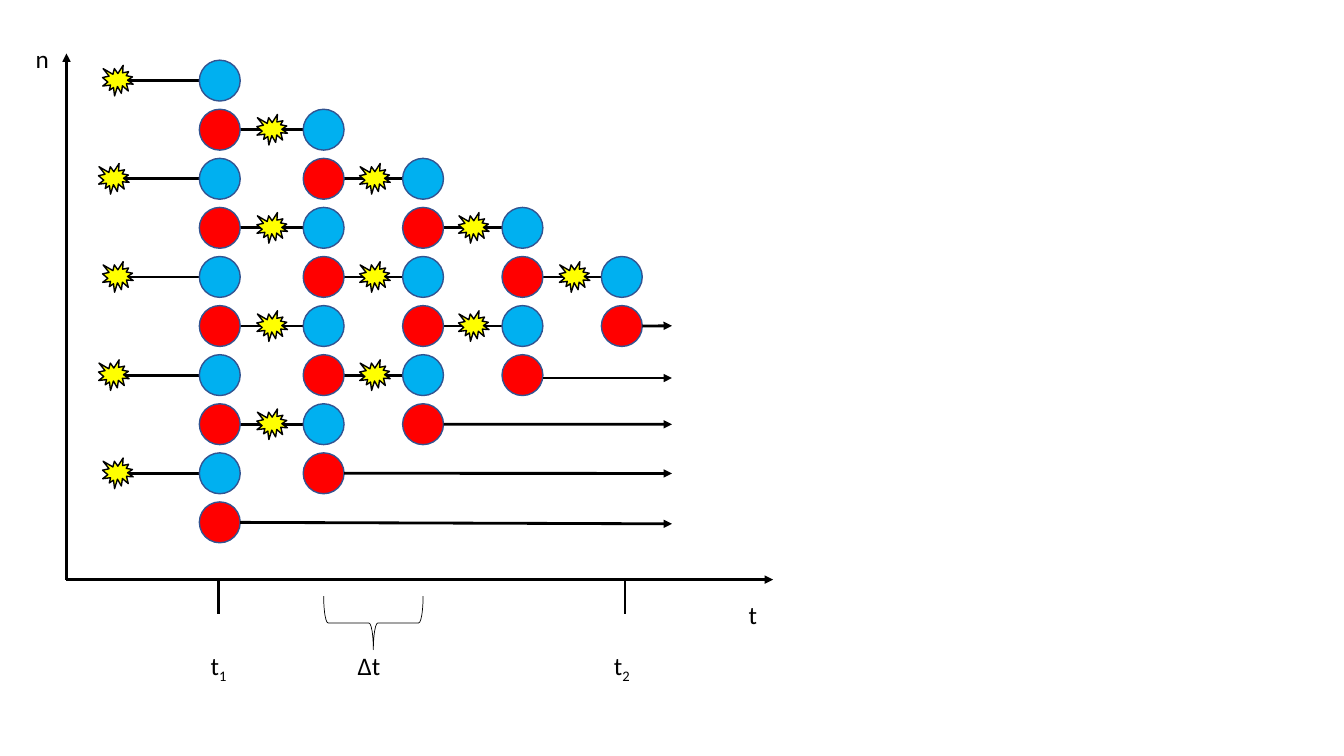
"""Build a slide showing a staircase of pulsed pairs in an n-t diagram."""
from pptx import Presentation
from pptx.dml.color import RGBColor
from pptx.enum import shapes, text
from pptx.oxml import parse_xml
from pptx.oxml.ns import nsdecls, qn
from pptx.util import Pt

COLUMNS = [157, 231.2, 302.2, 373.2, 444.2]
PULSES = [84.2, 194.4, 267.8, 338.4, 410.4]
ARROW_ENDS = [374.2, 338.2, 303.1, 270, 232.7]
TICKS = [156.2, 446.4]
LABELS = [
    ("n", "", 15.8, 27.4, 28.8, "CENTER"),
    ("t", "", 523.4, 424.8, 28.8, "CENTER"),
    ("Δt", "", 248.4, 460.8, 36, "LEFT"),
    ("t", "1", 141.8, 460.8, 28.8, "CENTER"),
    ("t", "2", 429.8, 460.8, 28.8, "CENTER"),
]


class Theme:
    """Hold colours, font and line widths."""
    ink, rim, blue, red, yellow = "000000", "325491", "00B0F0", "FF0000", "FFFF00"
    font, size = "Calibri", 18
    thick, thin, hair = 2, 1, 0.5


ROWS, TOP, PITCH = 10, 57.6, 35.06
DISC, STAR, JITTER = 29.2, 21.9, 2.9
AXIS_X, AXIS_Y, AXIS_TOP, AXIS_END = 47.5, 414, 38.2, 552.2
ARROW_X, TICK_LENGTH = 480, 24.5
BRACE_Y, BRACE_DEPTH = 425.9, 38.2
LABEL_HEIGHT = 28.8

prs = Presentation()
prs.slide_width, prs.slide_height = Pt(960), Pt(540)
s = prs.slides.add_slide(prs.slide_layouts[6])


def stroke(ln, color, width):
    """Colour and size a line."""
    ln.color.rgb = RGBColor.from_string(color)
    ln.width = Pt(width)


def add_line(x1, y1, x2, y2, arrow=False):
    """Draw a straight line, optionally with an arrowhead at its end."""
    sp = s.shapes.add_connector(shapes.MSO_CONNECTOR.STRAIGHT, Pt(x1), Pt(y1), Pt(x2), Pt(y2))
    stroke(sp.line, Theme.ink, Theme.thick)
    pr = sp._element.spPr
    if arrow:
        pr.find(qn("a:ln")).append(parse_xml(f'<a:tailEnd {nsdecls("a")} type="triangle"/>'))
    pr.append(parse_xml(f'<a:effectLst {nsdecls("a")}/>'))


def add_mark(kind, cx, cy, w, h, fill=None, line=Theme.ink, width=Theme.thin):
    """Draw a preset shape around its centre."""
    sp = s.shapes.add_shape(kind, Pt(cx - w / 2), Pt(cy - h / 2), Pt(w), Pt(h))
    sp.shadow.inherit = False
    if fill:
        sp.fill.solid()
        sp.fill.fore_color.rgb = RGBColor.from_string(fill)
    else:
        sp.fill.background()
    stroke(sp.line, line, width)
    return sp


def add_label(words, sub="", *, x, y, w, align):
    """Write a label with an optional subscript."""
    tf = s.shapes.add_textbox(Pt(x), Pt(y), Pt(w), Pt(LABEL_HEIGHT)).text_frame
    tf.word_wrap = True
    p = tf.paragraphs[0]
    p.alignment = text.PP_ALIGN[align]
    for part, base in ((words, None), (sub, "-25000")):
        if part:
            r = p.add_run()
            r.text = part
            r.font.name, r.font.size = Theme.font, Pt(Theme.size)
            r.font.color.rgb = RGBColor.from_string(Theme.ink)
            if base:
                r.font._element.set("baseline", base)


def row_y(row):
    """Return the centre height of a row."""
    return TOP + PITCH * row


add_line(AXIS_X, AXIS_Y, AXIS_X, AXIS_TOP, arrow=True)
add_line(AXIS_X, AXIS_Y, AXIS_END, AXIS_Y, arrow=True)
for x in TICKS:
    add_line(x, AXIS_Y, x, AXIS_Y + TICK_LENGTH)

for col, (x, pulse) in enumerate(zip(COLUMNS, PULSES)):
    for row in range(col, ROWS - col, 2):
        y = row_y(row)
        star_x = pulse - JITTER if col == 0 and row % 4 == 2 else pulse
        start = COLUMNS[col - 1] + DISC / 2 if col else star_x
        add_line(start, y, x - DISC / 2, y)
        add_mark(shapes.MSO_SHAPE.EXPLOSION1, star_x, y, STAR, STAR, Theme.yellow)

for col, (x, end_y) in enumerate(zip(COLUMNS, ARROW_ENDS)):
    for row in range(col, ROWS - col):
        fill = Theme.red if (row - col) % 2 else Theme.blue
        add_mark(shapes.MSO_SHAPE.OVAL, x, row_y(row), DISC, DISC, fill, Theme.rim)
    start_y = end_y if col == 3 else row_y(ROWS - 1 - col)
    add_line(x + DISC / 2, start_y, ARROW_X, end_y, arrow=True)

left, right = COLUMNS[1:3]
brace = add_mark(shapes.MSO_SHAPE.LEFT_BRACE, (left + right) / 2, BRACE_Y + BRACE_DEPTH / 2,
                 BRACE_DEPTH, right - left, width=Theme.hair)
brace.rotation = 270

for words, sub, x, y, w, align in LABELS:
    add_label(words, sub, x=x, y=y, w=w, align=align)

prs.save("out.pptx")
